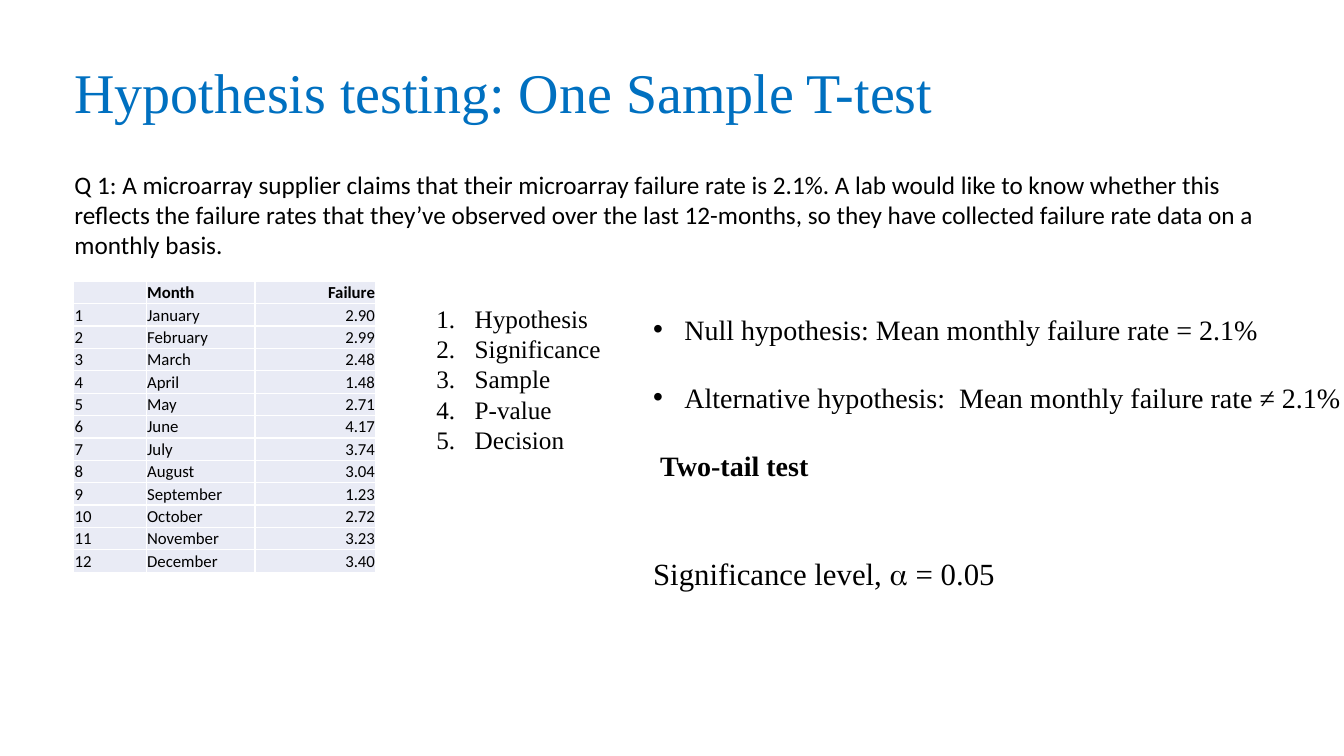
from lxml import etree
from pptx import Presentation
from pptx.dml.color import RGBColor
from pptx.enum.text import MSO_ANCHOR, MSO_AUTO_SIZE, PP_ALIGN
from pptx.oxml.ns import qn
from pptx.util import Inches, Pt

GROW = MSO_AUTO_SIZE.SHAPE_TO_FIT_TEXT
MIDDLE = MSO_ANCHOR.MIDDLE
LEFT, RIGHT = PP_ALIGN.LEFT, PP_ALIGN.RIGHT

SERIF, SANS = "Times New Roman", "Calibri"
BLACK, BLUE, WHITE, PALE = "000000", "0070C0", "FFFFFF", "E9EBF5"

FAILURES = [
    ("January", "2.90"), ("February", "2.99"), ("March", "2.48"),
    ("April", "1.48"), ("May", "2.71"), ("June", "4.17"),
    ("July", "3.74"), ("August", "3.04"), ("September", "1.23"),
    ("October", "2.72"), ("November", "3.23"), ("December", "3.40"),
]
STEPS = ["Hypothesis", "Significance", "Sample", "P-value", "Decision"]


def color(value):
    return RGBColor.from_string(value)


def write(para, text, size=18, font=SERIF, fill=BLACK, bold=False, align=LEFT,
          before=0, margin=0, hanging=0, bullet=None):
    """Add formatted text to a paragraph; bullet is a (tag, attributes) pair."""
    para.alignment = align
    para.space_before = Pt(before)
    properties = para._p.get_or_add_pPr()
    properties.set("marL", str(Inches(margin)))
    properties.set("indent", str(-Inches(hanging)))
    if bullet:
        tag, attributes = bullet
        if tag == "a:buChar":
            etree.SubElement(properties, qn("a:buFont"), typeface="Arial")
        etree.SubElement(properties, qn(tag), attributes)
    if not text:
        etree.SubElement(para._p, qn("a:endParaRPr"), sz=str(size * 100))
        return
    span = para.add_run()
    span.text = text
    span.font.size = Pt(size)
    span.font.name = font
    span.font.bold = bold
    span.font.color.rgb = color(fill)


class SlideBuilder:
    def __init__(self, page):
        self.page = page

    def text(self, left, top, width, height, items, wrap=True, **style):
        """Place a text box; each item is a text with its own format."""
        box = self.page.shapes.add_textbox(
            Inches(left), Inches(top), Inches(width), Inches(height))
        frame = box.text_frame
        frame.word_wrap = wrap
        frame.auto_size = GROW
        for index, (line, extra) in enumerate(items):
            para = frame.add_paragraph() if index else frame.paragraphs[0]
            write(para, line, **{**style, **extra})

    def table(self, left, top, widths, row_height, rows):
        shape = self.page.shapes.add_table(
            len(rows), len(widths), Inches(left), Inches(top),
            Inches(sum(widths)), Inches(row_height * len(rows)))
        table = shape.table
        table.first_row = table.horz_banding = False
        for column, width in zip(table.columns, widths):
            column.width = Inches(width)
        for r, values in enumerate(rows):
            table.rows[r].height = Inches(row_height)
            for c, value in enumerate(values):
                self.cell(table.cell(r, c), value, bold=r == 0,
                          align=RIGHT if c == 2 else LEFT)

    def cell(self, cell, value, **style):
        cell.margin_left = cell.margin_right = cell.margin_top = Inches(0.01)
        cell.margin_bottom = 0
        cell.vertical_anchor = MIDDLE
        write(cell.text_frame.paragraphs[0], value, size=12, font=SANS, **style)
        # Borders come before the fill in the cell properties
        properties = cell._tc.get_or_add_tcPr()
        for side in ("a:lnL", "a:lnR", "a:lnT", "a:lnB"):
            line = etree.SubElement(properties, qn(side), w=str(Pt(1)))
            paint = etree.SubElement(line, qn("a:solidFill"))
            etree.SubElement(paint, qn("a:srgbClr"), val=WHITE)
        cell.fill.solid()
        cell.fill.fore_color.rgb = color(PALE)


def main():
    deck = Presentation()
    deck.slide_width, deck.slide_height = Inches(13.33), Inches(7.5)
    builder = SlideBuilder(deck.slides.add_slide(deck.slide_layouts[6]))

    # Title and question
    builder.text(0.64, 0.52, 8.81, 0.77,
                 [("Hypothesis testing: One Sample T-test", {})],
                 wrap=False, size=40, fill=BLUE)
    question = (
        "Q 1: A microarray supplier claims that their microarray failure rate "
        "is 2.1%. A lab would like to know whether this reflects the failure "
        "rates that they’ve observed over the last 12-months, so they have "
        "collected failure rate data on a monthly basis.")
    builder.text(0.64, 1.63, 12.29, 1.01, [(question, {})], font=SANS)

    # Monthly failure rates
    rows = [("", "Month", "Failure")]
    rows += [(str(number), month, rate)
             for number, (month, rate) in enumerate(FAILURES, 1)]
    builder.table(0.73, 2.79, [0.72, 1.08, 1.2], 2.89 / len(rows), rows)

    # Steps of the test
    builder.text(4.23, 2.96, 1.97, 1.62, [(step, {}) for step in STEPS],
                 margin=0.38, hanging=0.38,
                 bullet=("a:buAutoNum", {"type": "arabicPeriod"}))

    # Hypotheses and significance level
    dot = {"margin": 0.31, "hanging": 0.31, "bullet": ("a:buChar", {"char": "•"})}
    gap = {"before": 24.5}
    builder.text(6.38, 3.05, 7.07, 1.78, [
        ("Null hypothesis: Mean monthly failure rate = 2.1%", dot),
        ("Alternative hypothesis:  Mean monthly failure rate ≠ 2.1%", {**dot, **gap}),
        ("Two-tail test", {**gap, "margin": 0.07, "bold": True}),
    ], wrap=False, size=20)
    builder.text(6.38, 5.45, 3.62, 0.47,
                 [("Significance level, ⍺ = 0.05", {})], wrap=False, size=22)

    deck.save("out.pptx")


if __name__ == "__main__":
    main()
